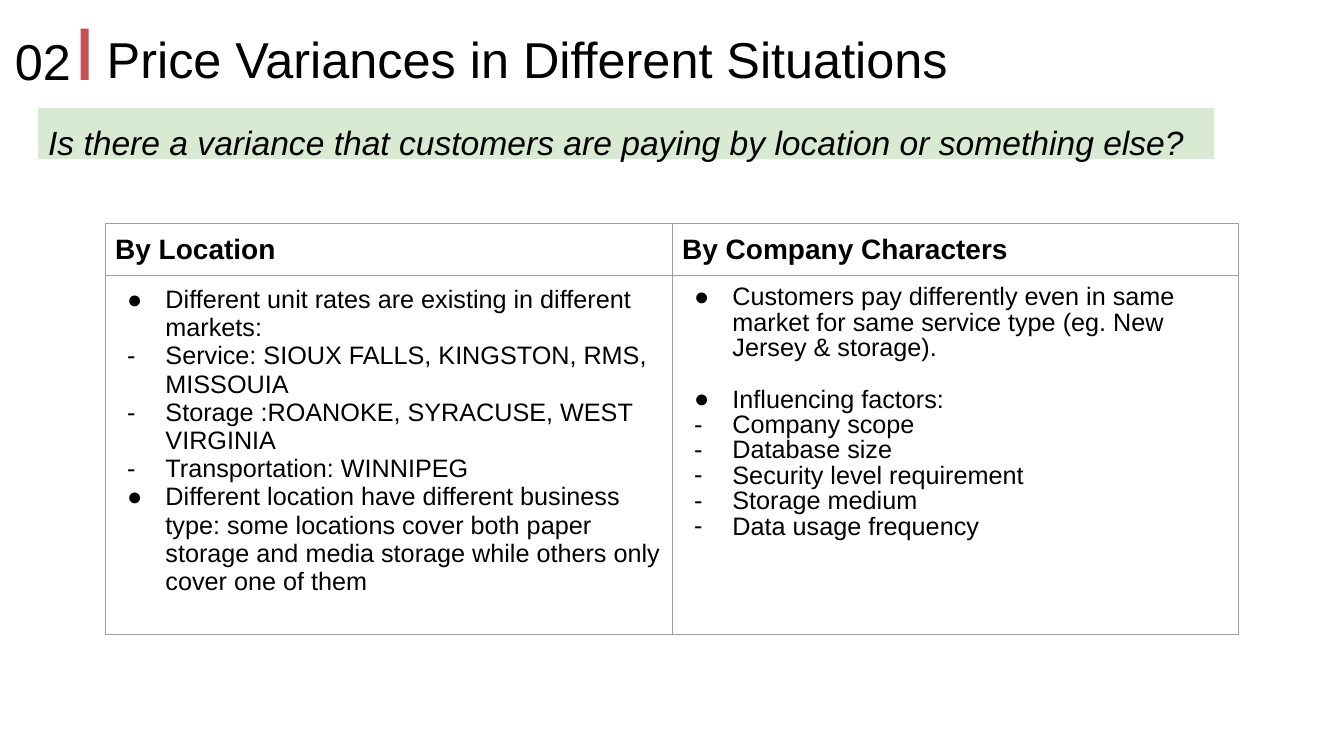
from lxml.etree import SubElement
from pptx import Presentation
from pptx.dml.color import RGBColor
from pptx.enum.shapes import MSO_SHAPE
from pptx.enum.text import MSO_ANCHOR, MSO_AUTO_SIZE, PP_ALIGN
from pptx.oxml.ns import qn
from pptx.util import Inches, Pt

BLACK = RGBColor(0x00, 0x00, 0x00)
RED = RGBColor(0xC7, 0x50, 0x50)
GREEN = RGBColor(0xD9, 0xEA, 0xD3)
GRAY = RGBColor(0x9E, 0x9E, 0x9E)

SLIDE_WIDTH, SLIDE_HEIGHT = Inches(13.33), Inches(7.5)
COLUMN, ROW = SLIDE_WIDTH / 160, SLIDE_HEIGHT / 90
TITLE_ONLY = 5

HEADING = {"size": Pt(36)}
QUESTION = {"size": Pt(24), "italic": True}
TABLE_HEAD = {"size": Pt(20), "bold": True}
TABLE_BODY = {"size": Pt(18), "bold": False}

LOCATION_POINTS = [
    ("●", "Different unit rates are existing in different markets:"),
    ("-", "Service: SIOUX FALLS, KINGSTON, RMS, MISSOUIA"),
    ("-", "Storage :ROANOKE, SYRACUSE, WEST VIRGINIA"),
    ("-", "Transportation: WINNIPEG"),
    ("●", "Different location have different business type: some locations cover "
          "both paper storage and media storage while others only cover one of them"),
]
COMPANY_POINTS = [
    ("●", "Customers pay differently even in same market for same service type "
          "(eg. New Jersey & storage)."),
    ("●", "Influencing factors:"),
    ("-", "Company scope"),
    ("-", "Database size"),
    ("-", "Security level requirement"),
    ("-", "Storage medium"),
    ("-", "Data usage frequency"),
]
TABLE_COLUMNS = [
    ("By Location", LOCATION_POINTS, {"line_spacing": 1.0}, 0),
    ("By Company Characters", COMPANY_POINTS, {"line_spacing": 0.9}, 18.6),
]


def grid(left, top, width, height):
    """Turn columns and rows of the slide grid into lengths."""
    return (int(left * COLUMN), int(top * ROW), int(width * COLUMN), int(height * ROW))


def set_values(target, values):
    """Set each named value on the target."""
    for name, value in values.items():
        setattr(target, name, value)


def write(para, text, style):
    """Write text into a paragraph as one styled span."""
    span = para.add_run()
    span.text = text
    set_values(span.font, {"name": "Arial", **style})
    span.font.color.rgb = BLACK


def frame_text(shape, text, style, top_inset=0.05):
    """Write one top-anchored, left-aligned line into a shape."""
    frame = shape.text_frame
    set_values(frame, {
        "word_wrap": True, "auto_size": MSO_AUTO_SIZE.NONE,
        "vertical_anchor": MSO_ANCHOR.TOP, "margin_top": Inches(top_inset),
        "margin_left": Inches(0.1), "margin_right": Inches(0.1),
        "margin_bottom": Inches(0.05),
    })
    para = frame.paragraphs[0]
    para.alignment = PP_ALIGN.LEFT
    write(para, text, style)
    return para


def add_block(page, box, color):
    """Add a plain filled rectangle."""
    block = page.shapes.add_shape(MSO_SHAPE.RECTANGLE, *box)
    block.shadow.inherit = False
    block.fill.solid()
    block.fill.fore_color.rgb = color
    block.line.fill.background()
    return block


def add_heading(page, box, number, title):
    """Place the section number, the red bar and the title in a box."""
    left, top, width, height = box
    number_width = int(11.6 * COLUMN)
    title_left = int(10.9 * COLUMN)
    add_block(page, (left + int(9 * COLUMN), top + int(0.6 * ROW),
                     int(0.96 * COLUMN), int(6.1 * ROW)), RED)
    number_box = page.shapes.add_textbox(left, top + int(0.2 * ROW), number_width, height)
    frame_text(number_box, number, HEADING)
    set_values(page.shapes.title, {
        "left": left + title_left, "top": top,
        "width": width - title_left, "height": height,
    })
    frame_text(page.shapes.title, title, HEADING)


def add_question(page, box, text):
    """Place the green question band."""
    para = frame_text(add_block(page, box, GREEN), text, QUESTION, 0.08)
    set_values(para, {"line_spacing": 1.15, "space_after": Pt(8)})


def add_bullet(para, mark):
    """Give a paragraph a hanging bullet mark."""
    properties = para._p.get_or_add_pPr()
    properties.set("marL", str(Inches(0.5)))
    properties.set("indent", str(-Inches(0.38)))
    color = SubElement(properties, qn("a:buClr"))
    SubElement(color, qn("a:srgbClr"), val=str(BLACK))
    SubElement(properties, qn("a:buFont"), typeface="Arial")
    SubElement(properties, qn("a:buChar"), char=mark)


def format_cell(cell):
    """Clear the fill, set the insets and draw thin gray borders."""
    margins = ("margin_left", "margin_top", "margin_right", "margin_bottom")
    set_values(cell, dict.fromkeys(margins, Inches(0.1)))
    properties = cell._tc.get_or_add_tcPr()
    for side in ("lnL", "lnR", "lnT", "lnB"):
        line = SubElement(properties, qn(f"a:{side}"), w=str(Pt(0.75)))
        fill = SubElement(line, qn("a:solidFill"))
        SubElement(fill, qn("a:srgbClr"), val=str(GRAY))
    cell.fill.background()


def fill_points(cell, points, spacing, group_gap):
    """List the points in a cell, with a gap before each later group."""
    frame = cell.text_frame
    for index, (mark, text) in enumerate(points):
        para = frame.add_paragraph() if index else frame.paragraphs[0]
        add_bullet(para, mark)
        set_values(para, spacing)
        if index and mark == "●" and group_gap:
            para.space_before = Pt(group_gap)
        write(para, text, TABLE_BODY)


def add_comparison(page, box):
    """Place the two-column table of price variances."""
    table = page.shapes.add_table(2, len(TABLE_COLUMNS), *box).table
    set_values(table, {"first_row": False, "horz_banding": False})
    head_height = int(6.15 * ROW)
    table.rows[0].height = head_height
    table.rows[1].height = box[3] - head_height
    for index, (head, points, spacing, group_gap) in enumerate(TABLE_COLUMNS):
        table.columns[index].width = box[2] // len(TABLE_COLUMNS)
        head_cell, body_cell = table.cell(0, index), table.cell(1, index)
        format_cell(head_cell)
        format_cell(body_cell)
        write(head_cell.text_frame.paragraphs[0], head, TABLE_HEAD)
        fill_points(body_cell, points, spacing, group_gap)


def main():
    """Build the slide and save the deck."""
    deck = Presentation()
    set_values(deck, {"slide_width": SLIDE_WIDTH, "slide_height": SLIDE_HEIGHT})
    page = deck.slides.add_slide(deck.slide_layouts[TITLE_ONLY])
    add_comparison(page, grid(12.5, 26.65, 135, 48.85))
    add_heading(page, grid(0.6, 2.8, 142.2, 6.9), "02",
                "Price Variances in Different Situations")
    add_question(page, grid(4.55, 12.85, 140, 6.1),
                 "Is there a variance that customers are paying by location or something else?")
    deck.save("out.pptx")


if __name__ == "__main__":
    main()
